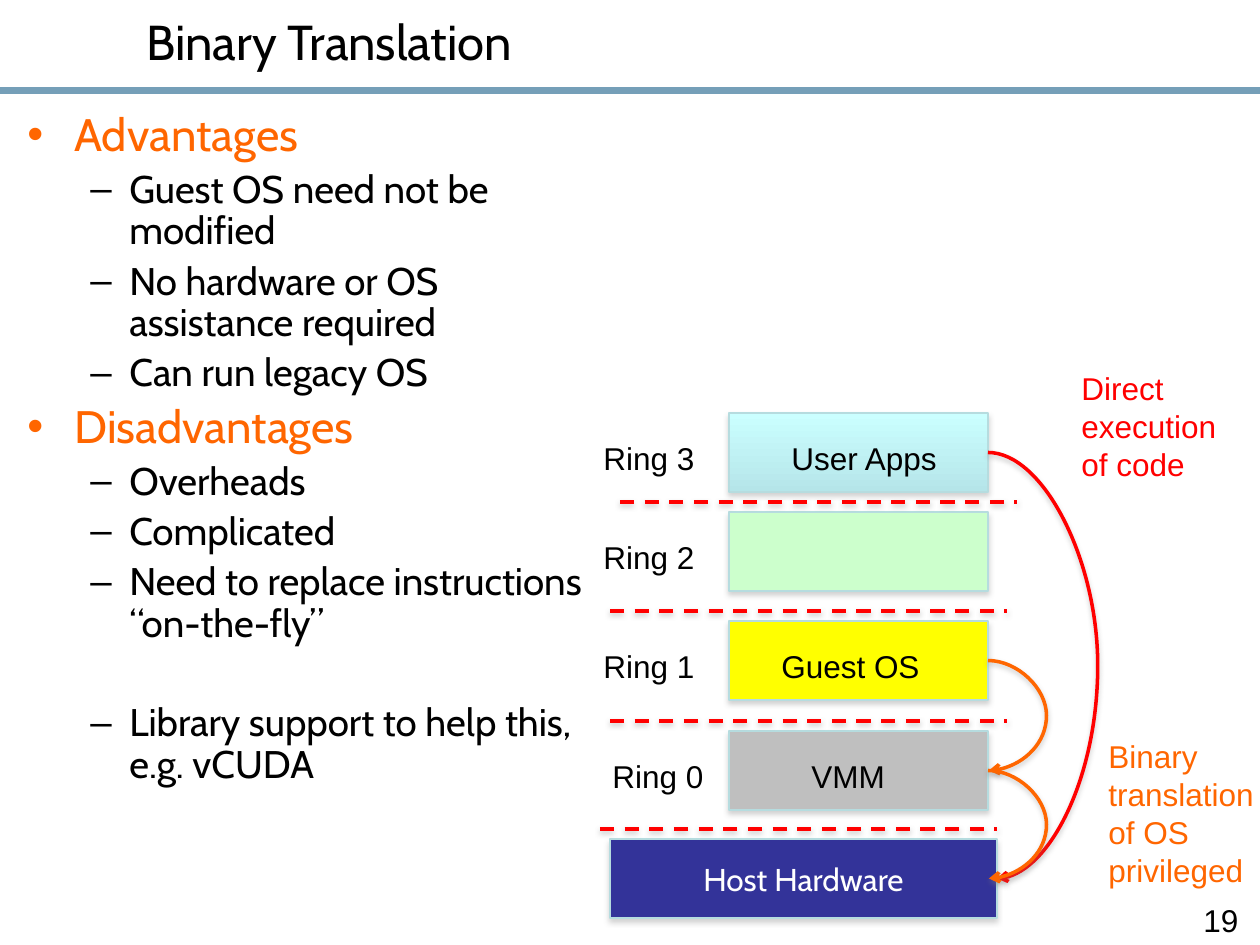
from dataclasses import dataclass

from lxml import etree
from pptx import Presentation, util as u
from pptx.dml.color import RGBColor
from pptx.enum import dml, shapes, text
from pptx.oxml import ns

PX = 914400 / 126


@dataclass(frozen=True)
class Theme:
    heading_font: str = "Cabin"
    label_font: str = "Arial"
    title_size: int = 28
    topic_size: int = 26
    point_size: int = 22
    label_size: int = 18
    black: str = "000000"
    white: str = "FFFFFF"
    orange: str = "FF6600"
    red: str = "FF0000"
    rule: str = "759FB8"
    border: str = "B6DCDF"
    shadow: str = "808080"
    host: str = "333399"


THEME = Theme()

TITLE = "Binary Translation"
PAGE_NUMBER = "19"
# text and space before it in points
TOPICS = [
    ("Advantages", [
        ("Guest OS need not be modified", 5),
        ("No hardware or OS assistance required", 5),
        ("Can run legacy OS", 5)]),
    ("Disadvantages", [
        ("Overheads", 5),
        ("Complicated", 5),
        ("Need to replace instructions “on-the-fly”", 5),
        ("Library support to help this, e.g. vCUDA", 33)]),
]
# ring name, name left, top, fills, label, label left, label width, divider left
RINGS = [
    ("Ring 3", 591, 413, ["CBFFFF", "B5E5E9"], "User Apps", 779, 173, 620),
    ("Ring 2", 591, 512, ["CCFFCC"], None, 0, 0, 610),
    ("Ring 1", 591, 621, ["FFFF00"], "Guest OS", 769, 165, 610),
    ("Ring 0", 600, 731, ["BFBFBF"], "VMM", 799, 102, 600),
]
HOST_LABEL, HOST_LEFT, HOST_TOP, HOST_WIDTH = "Host Hardware", 610, 839, 387
LAYER_LEFT, LAYER_WIDTH, LAYER_HEIGHT = 729, 259, 79
DIVIDER_WIDTH = 397
# start top, end top, width, bulge, colour
CALLS = [
    (413, HOST_TOP, 9, 110, THEME.red),
    (621, 731, 1, 59, THEME.orange),
    (731, HOST_TOP, 1, 59, THEME.orange),
]
NOTES = [
    ("Direct execution of code", (1069, 363, 189, 127), THEME.red),
    ("Binary translation of OS privileged", (1096, 731, 189, 165), THEME.orange),
]


def px(*lengths):
    return [round(length * PX) for length in lengths]


def rgb(colour):
    return RGBColor.from_string(colour)


def add_xml(parent, tag, **attributes):
    return etree.SubElement(parent, ns.qn(tag), attributes)


def set_shadow(shape, opacity, blur, distance):
    """Replace the theme shadow by a soft grey one; blur and distance in points."""
    effects = add_xml(shape._element.spPr, "a:effectLst")
    outer = add_xml(effects, "a:outerShdw", blurRad=str(u.Pt(blur)),
                    dist=str(u.Pt(distance)), dir="5400000",
                    algn="ctr", rotWithShape="0")
    colour = add_xml(outer, "a:srgbClr", val=THEME.shadow)
    add_xml(colour, "a:alpha", val=str(opacity * 1000))


def style(para, font, size, colour):
    for span in para.runs:
        span.font.name = font
        span.font.size = u.Pt(size)
        span.font.color.rgb = rgb(colour)


def add_label(page, words, place, colour=THEME.black, font=THEME.label_font,
              size=THEME.label_size, wrap=False, anchor=text.MSO_ANCHOR.TOP):
    frame = page.shapes.add_textbox(*px(*place)).text_frame
    frame.word_wrap = wrap
    frame.vertical_anchor = anchor
    frame.text = words
    style(frame.paragraphs[0], font, size, colour)


def add_topics(page):
    frame = page.shapes.add_textbox(*px(15, 106, 586, 784)).text_frame
    frame.word_wrap = True
    rows = []
    for topic, points in TOPICS:
        rows.append((topic, 5, 0, "•", 47, 47, THEME.topic_size, THEME.orange))
        rows += [(point, gap, 1, "–", 102, 39, THEME.point_size, THEME.black)
                 for point, gap in points]
    for index, (words, gap, level, mark, margin, hang, size, colour) in enumerate(rows):
        para = frame.add_paragraph() if index else frame.paragraphs[0]
        para.text = words
        para.level = level
        para.line_spacing = 0.9
        para.space_before = u.Pt(gap)
        style(para, THEME.heading_font, size, colour)
        properties = para._p.get_or_add_pPr()
        properties.set("marL", str(px(margin)[0]))
        properties.set("indent", str(px(-hang)[0]))
        add_xml(properties, "a:buFont", typeface=THEME.label_font)
        add_xml(properties, "a:buChar", char=mark)


def add_layer(page, left, top, width, fills):
    box = page.shapes.add_shape(shapes.MSO_SHAPE.RECTANGLE,
                                *px(left, top, width, LAYER_HEIGHT))
    if len(fills) > 1:
        box.fill.gradient()
        box.fill.gradient_angle = 270
        for stop, colour in zip(box.fill.gradient_stops, fills):
            stop.color.rgb = rgb(colour)
    else:
        box.fill.solid()
        box.fill.fore_color.rgb = rgb(fills[0])
    box.line.color.rgb = rgb(THEME.border)
    box.line.width = u.Pt(0.75)
    set_shadow(box, 35, 3.1, 1.8)
    return box


def add_line(page, kind, ends, colour):
    line = page.shapes.add_connector(kind, *px(*ends))
    line.line.color.rgb = rgb(colour)
    line.line.width = u.Pt(2)
    set_shadow(line, 38, 3.1, 1.6)
    return line


def add_call(page, start_top, end_top, width, bulge, colour):
    """Curved arrow between the right edges of two layers, at mid-height."""
    left, middle = LAYER_LEFT + LAYER_WIDTH, LAYER_HEIGHT / 2
    call = add_line(page, shapes.MSO_CONNECTOR.CURVE,
                    (left, start_top + middle, left + width, end_top + middle), colour)
    guides = call._element.spPr.find(".//" + ns.qn("a:avLst"))
    add_xml(guides, "a:gd", name="adj1", fmla=f"val {round(bulge / width * 100000)}")
    add_xml(call.line._get_or_add_ln(), "a:tailEnd", type="arrow")


def main():
    deck = Presentation()
    deck.slide_width, deck.slide_height = px(1260, 945)
    page = deck.slides.add_slide(deck.slide_layouts[6])

    add_label(page, PAGE_NUMBER, (1191, 895, 69, 50))
    rule = page.shapes.add_shape(shapes.MSO_SHAPE.RECTANGLE, *px(0, 87, 1260, 7))
    rule.shadow.inherit = False
    rule.fill.solid()
    rule.fill.fore_color.rgb = rgb(THEME.rule)
    rule.line.fill.background()
    add_label(page, TITLE, (134, 6, 1063, 69), font=THEME.heading_font,
              size=THEME.title_size, wrap=True, anchor=text.MSO_ANCHOR.MIDDLE)
    add_topics(page)

    for _, _, top, fills, *_ in RINGS:
        add_layer(page, LAYER_LEFT, top, LAYER_WIDTH, fills)
    host = add_layer(page, HOST_LEFT, HOST_TOP, HOST_WIDTH, [THEME.host])
    host.text_frame.text = HOST_LABEL
    host.text_frame.vertical_anchor = text.MSO_ANCHOR.MIDDLE
    para = host.text_frame.paragraphs[0]
    para.alignment = text.PP_ALIGN.CENTER
    style(para, THEME.heading_font, THEME.label_size, THEME.white)

    next_tops = [ring[2] for ring in RINGS[1:]] + [HOST_TOP]
    for ring, next_top in zip(RINGS, next_tops):
        name, name_left, top, _, label, label_left, label_width, left = ring
        y = next_top - 10
        divider = add_line(page, shapes.MSO_CONNECTOR.STRAIGHT,
                           (left, y, left + DIVIDER_WIDTH, y), THEME.red)
        divider.line.dash_style = dml.MSO_LINE.DASH
        add_label(page, name, (name_left, top + 20, 117, 50))
        if label:
            add_label(page, label, (label_left, top + 20, label_width, 50))

    for call in CALLS:
        add_call(page, *call)
    for words, place, colour in NOTES:
        add_label(page, words, place, colour, wrap=True)
    deck.save("out.pptx")


if __name__ == "__main__":
    main()
